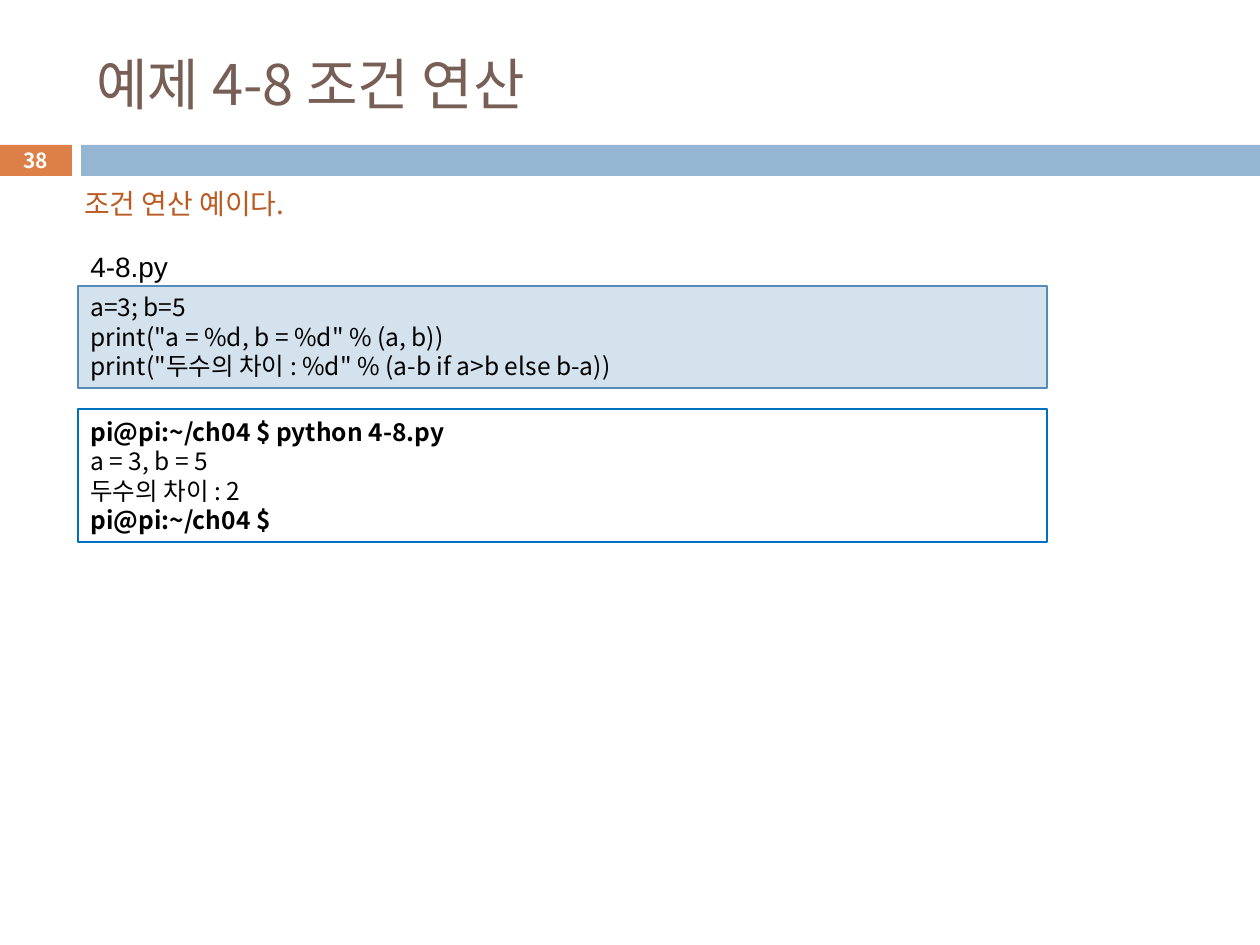
from lxml import etree
from pptx import Presentation
from pptx.dml.color import RGBColor
from pptx.enum.shapes import MSO_SHAPE
from pptx.enum.text import MSO_ANCHOR, PP_ALIGN
from pptx.oxml.ns import qn
from pptx.util import Emu, Pt

RECTANGLE = MSO_SHAPE.RECTANGLE
TOP, MIDDLE = MSO_ANCHOR.TOP, MSO_ANCHOR.MIDDLE
LEFT, CENTER, JUSTIFY = PP_ALIGN.LEFT, PP_ALIGN.CENTER, PP_ALIGN.JUSTIFY
KOREAN, LATIN = "Noto Sans CJK KR", "Arial"
EMU_PER_PX = 914400 / 126
LINE_HEIGHT = 1.2


def px(length):
    """Turn a length in px into EMU."""
    return Emu(round(length * EMU_PER_PX))


def color(value):
    """Turn a hex string into a colour."""
    return RGBColor.from_string(value)


def add_rectangle(page, box, fill=None, line=None):
    """Draw a flat rectangle with an optional fill and thin outline."""
    shape = page.shapes.add_shape(RECTANGLE, *map(px, box))
    shape.shadow.inherit = False
    if fill:
        shape.fill.solid()
        shape.fill.fore_color.rgb = color(fill)
    else:
        shape.fill.background()
    if line:
        shape.line.color.rgb = color(line)
        shape.line.width = Pt(0.75)
    else:
        shape.line.fill.background()
    return shape


def write_lines(shape, lines, size, ink, face=KOREAN, bold_lines=(),
                align=LEFT, anchor=TOP, spacing=None, wrap=True):
    """Fill a shape with one paragraph for each line of text."""
    frame = shape.text_frame
    frame.word_wrap = wrap
    frame.vertical_anchor = anchor
    for index, text in enumerate(lines):
        para = frame.paragraphs[0] if index == 0 else frame.add_paragraph()
        para.text = text
        para.alignment = align
        para.line_spacing = spacing or Pt(size * LINE_HEIGHT)
        font = para.font
        font.size = Pt(size)
        font.name = face
        font.bold = index in bold_lines
        font.color.rgb = color(ink)
        properties = para._p.pPr.find(qn("a:defRPr"))
        etree.SubElement(properties, qn("a:ea")).set("typeface", face)


def add_label(page, box, text, size, ink, **style):
    """Place a single line of text in a text box."""
    label = page.shapes.add_textbox(*map(px, box))
    write_lines(label, [text], size, ink, **style)


def add_header(page, box, title, number):
    """Place the title above the band that carries the page number."""
    left, top, width, height = box
    band_top, band_height = top + height - 31, 31
    add_rectangle(page, (left, band_top, 73, band_height), "DD8047")
    add_rectangle(page, (left + 82, band_top, width - 82, band_height), "94B6D2")
    add_label(page, (left + 85, top, 1124, 103), title, 32, "775F55",
              anchor=MIDDLE)
    add_label(page, (left, band_top - 2, 73, 34), number, 11.9, "FFFFFF",
              bold_lines=(0,), align=CENTER, anchor=MIDDLE)


def add_example(page, box, intro, file_name, code, output):
    """Place the introduction, the code listing and its output."""
    left, top, width, height = box
    add_label(page, (left - 6, top, 249, 47), intro, 16, "B95B22", wrap=False)
    listing = add_rectangle(page, (left, top + 106, width, 102),
                            "D4E2ED", "558BB8")
    write_lines(listing, code, 14, "000000")
    console = add_rectangle(page, (left, top + height - 133, width, 133),
                            line="0070C0")
    write_lines(console, output, 14, "000000", anchor=MIDDLE,
                bold_lines=(0, len(output) - 1))
    add_label(page, (left, top + 43, 106, 59), file_name, 16, "000000",
              face=LATIN, align=JUSTIFY, spacing=1.6, wrap=False)


def main():
    """Build the slide and save it."""
    deck = Presentation()
    deck.slide_width, deck.slide_height = px(1260), px(945)
    page = deck.slides.add_slide(deck.slide_layouts[6])
    add_header(page, (-1, 32, 1261, 144), "예제 4-8 조건 연산", "38")
    code = [
        "a=3; b=5",
        'print("a = %d, b = %d" % (a, b))',
        'print("두수의 차이 : %d" % (a-b if a>b else b-a))',
    ]
    output = [
        "pi@pi:~/ch04 $ python 4-8.py",
        "a = 3, b = 5",
        "두수의 차이 : 2",
        "pi@pi:~/ch04 $",
    ]
    add_example(page, (78, 180, 969, 362), "조건 연산 예이다.", "4-8.py",
                code, output)
    deck.save("out.pptx")


if __name__ == "__main__":
    main()
